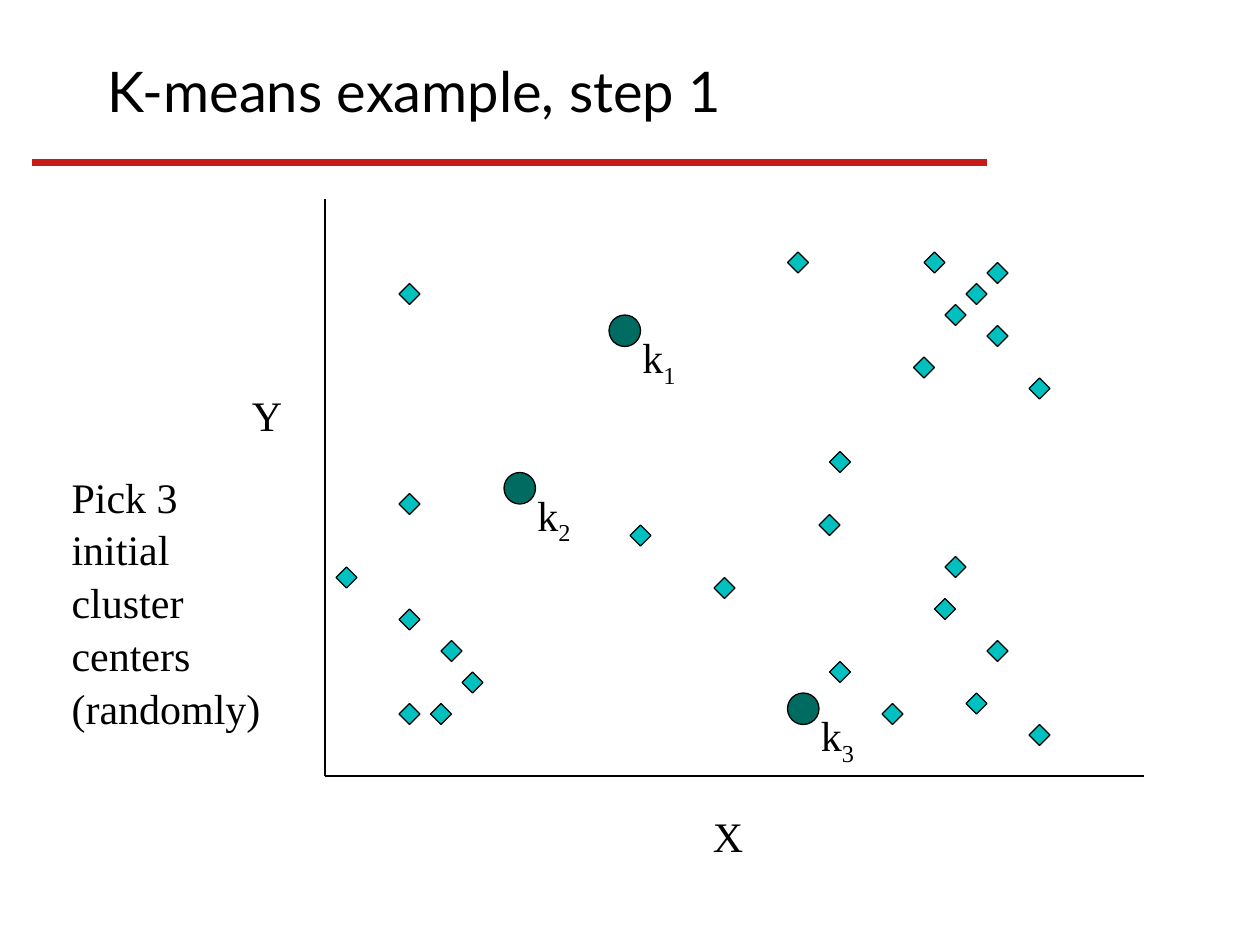
import pptx
import pptx.util
from pptx.dml.color import RGBColor
from pptx.enum.shapes import MSO_CONNECTOR, MSO_SHAPE
from pptx.enum.text import MSO_ANCHOR, PP_ALIGN
from pptx.oxml.ns import qn
from lxml import etree

TITLE = "K-means example, step 1"
NOTE = ["Pick 3", "initial", "cluster", "centers", "(randomly)"]
POINTS = [
    (43, 62), (45, 65), (42, 68), (39, 59), (39, 28), (39, 48), (39, 68),
    (33, 55), (61, 51), (89, 25), (95, 26), (93, 28), (91, 30), (95, 32),
    (99, 37), (76, 25), (80, 44), (80, 64), (85, 68), (90, 58), (79, 50),
    (69, 56), (95, 62), (93, 67), (91, 54), (99, 70), (88, 35),
]
SEEDS = [("1", 58, 30), ("2", 48, 45), ("3", 75, 66)]
AXES = [("X", 5.56, 6.38), ("Y", 1.9, 3.04)]
COLORS = {"ink": "000000", "point": "00C0C0", "seed": "006B61", "rule": "C71D19"}
UNIT = 1 / 12
LEFT, TOP, RIGHT, BASE = 2.58, 1.58, 9.08, 6.16

inch = pptx.util.Inches
deck = pptx.Presentation()
deck.slide_width, deck.slide_height = inch(10), inch(7.5)
slide = deck.slides.add_slide(deck.slide_layouts[5])


def color(name):
    return RGBColor.from_string(COLORS[name])


def write(shape, lines, size=24, font="Times New Roman", sub="",
          anchor=MSO_ANCHOR.TOP, wrap=False, pitch=None):
    frame = shape.text_frame
    frame.word_wrap = wrap
    frame.auto_size = pptx.enum.text.MSO_AUTO_SIZE.NONE
    frame.vertical_anchor = anchor
    for i, line in enumerate(lines):
        para = frame.add_paragraph() if i else frame.paragraphs[0]
        para.alignment = PP_ALIGN.LEFT
        if pitch:
            para.line_spacing = pitch
        for part in filter(None, (line, sub)):
            run = para.add_run()
            run.text = part
            run.font.size = pptx.util.Pt(size)
            run.font.name = font
            run.font.color.rgb = color("ink")
        if sub:
            run.font._element.set("baseline", "-25000")


def label(lines, x, y, w, h, **style):
    write(slide.shapes.add_textbox(inch(x), inch(y), inch(w), inch(h)), lines, **style)


def mark(kind, x, y, size, fill):
    shape = slide.shapes.add_shape(
        kind, inch(x - size / 2), inch(y - size / 2), inch(size), inch(size))
    shape.shadow.inherit = False
    shape.fill.solid()
    shape.fill.fore_color.rgb = color(fill)
    shape.line.color.rgb = color("ink")
    shape.line.width = pptx.util.Pt(0.75)


def draw(x1, y1, x2, y2, ink="ink", width=0.75):
    line = slide.shapes.add_connector(
        MSO_CONNECTOR.STRAIGHT, inch(x1), inch(y1), inch(x2), inch(y2))
    line.line.color.rgb = color(ink)
    line.line.width = pptx.util.Pt(width)
    etree.SubElement(line._element.spPr, qn("a:effectLst"))


title = slide.shapes.title
title.left, title.top, title.width, title.height = map(inch, (0.75, 0.3, 7.42, 0.73))
write(title, [TITLE], size=32, font="Lato", anchor=MSO_ANCHOR.BOTTOM, wrap=True, pitch=1.13)

for col, row in POINTS:
    mark(MSO_SHAPE.DIAMOND, col * UNIT, row * UNIT, 2 * UNIT, "point")

for num, col, row in SEEDS:
    x, y = (col + 1.5) * UNIT, (row + 1.5) * UNIT
    mark(MSO_SHAPE.OVAL, x, y, 3 * UNIT, "seed")
    label(["k"], x + UNIT / 2, y - UNIT / 2, 0.58, 0.56, sub=num)

draw(LEFT, TOP, LEFT, BASE)
draw(LEFT, BASE, RIGHT, BASE)
for name, x, y in AXES:
    label([name], x, y, 0.44, 0.5)

label(NOTE, 0.47, 3.67, 1.7, 2.5, pitch=1.05)
draw(0.25, 1.29, 7.83, 1.29, ink="rule", width=4.5)

deck.save("out.pptx")
